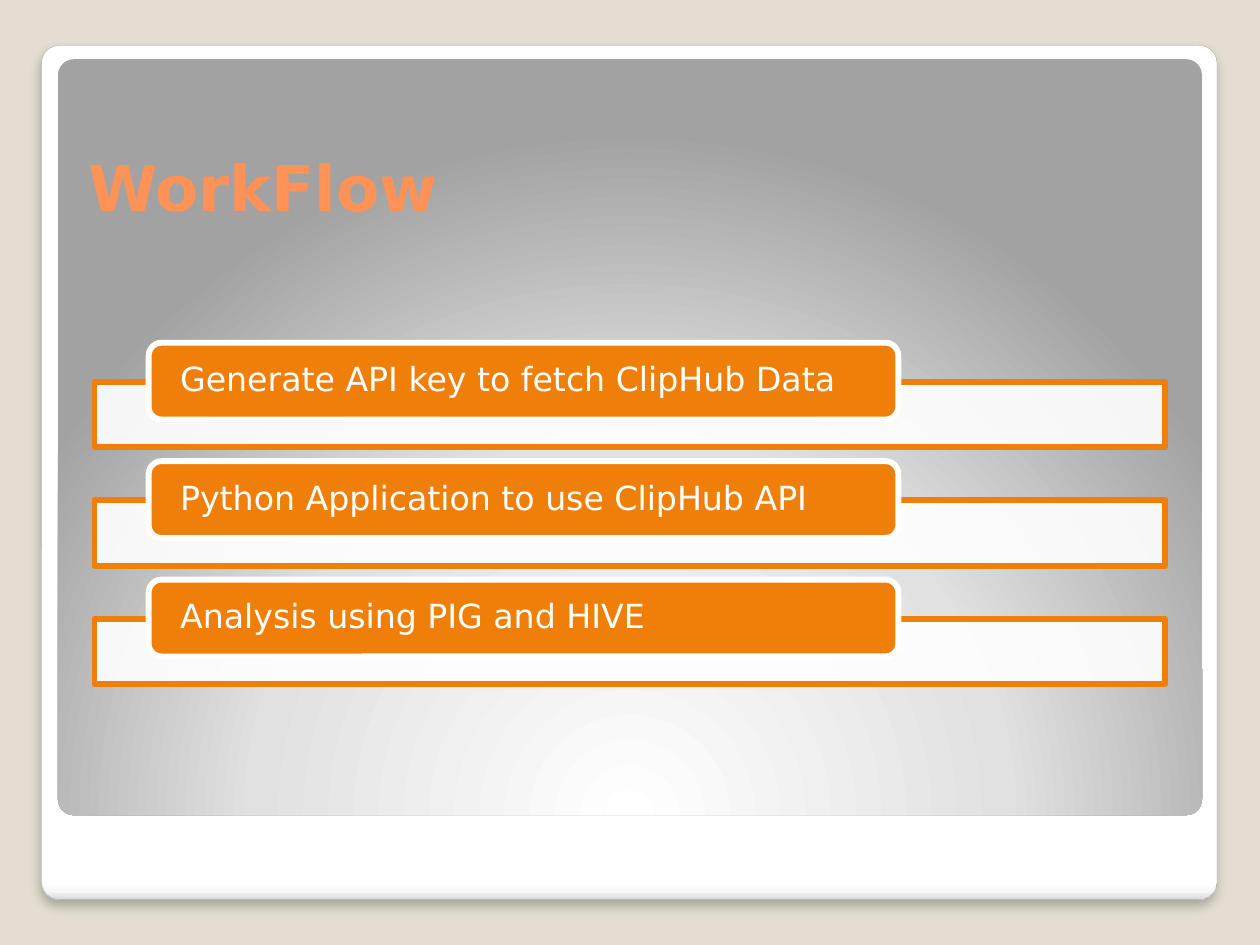
from lxml import etree
from pptx import Presentation
from pptx.dml.color import RGBColor
from pptx.enum.shapes import MSO_SHAPE
from pptx.enum.text import MSO_ANCHOR, PP_ALIGN
from pptx.oxml.ns import qn
from pptx.util import Inches, Pt

RECT, ROUND = MSO_SHAPE.RECTANGLE, MSO_SHAPE.ROUNDED_RECTANGLE
MIDDLE, LEFT = MSO_ANCHOR.MIDDLE, PP_ALIGN.LEFT

# Content
TITLE = "WorkFlow"
STEPS = [
    "Generate API key to fetch ClipHub Data",
    "Python Application to use ClipHub API",
    "Analysis using PIG and HIVE",
]

# Look
FONT = "DejaVu Sans"
COLORS = {
    "back": "E3DED1", "white": "FFFFFF", "edge": "A4A4A4",
    "orange": "F07F09", "title": "FF9257", "shade": "000000",
}
CARD_STOPS = [(0, "FFFFFF"), (98, "FFFFFF"), (99, "F7F7F7"), (100, "DADADA")]
PANEL_STOPS = [(0, "FFFFFF"), (55, "E1E1E1"), (100, "A2A2A2")]
FIRST, PITCH = 2.72, 0.94


def rgb(name):
    return RGBColor.from_string(COLORS[name])


def child(node, tag, **attrs):
    return etree.SubElement(node, qn(tag), {k: str(v) for k, v in attrs.items()})


def add_box(kind, left, top, width, height, fill=None, line=None, weight=3.35):
    box = slide.shapes.add_shape(
        kind, Inches(left), Inches(top), Inches(width), Inches(height))
    box.shadow.inherit = False
    if fill:
        box.fill.solid()
        box.fill.fore_color.rgb = rgb(fill)
    else:
        box.fill.background()
    if line:
        box.line.color.rgb = rgb(line)
        box.line.width = Pt(weight)
    else:
        box.line.fill.background()
    return box


def set_grad(box, stops):
    """Swap the empty fill for a gradient and return its node."""
    props = box._element.spPr
    grad = etree.Element(qn("a:gradFill"), rotWithShape="1")
    items = child(grad, "a:gsLst")
    for pos, color in stops:
        child(child(items, "a:gs", pos=pos * 1000), "a:srgbClr", val=color)
    props.replace(props.find(qn("a:noFill")), grad)
    return grad


def add_run(frame, text, size, color, bold=False):
    para = frame.paragraphs[0]
    para.alignment = LEFT
    run = para.add_run()
    run.text = text
    run.font.name, run.font.size, run.font.bold = FONT, Pt(size), bold
    run.font.color.rgb = rgb(color)
    return para


prs = Presentation()
prs.slide_width, prs.slide_height = Inches(10), Inches(7.5)
slide = prs.slides.add_slide(prs.slide_layouts[5])
slide.background.fill.solid()
slide.background.fill.fore_color.rgb = rgb("back")

# Card with a soft shadow
card = add_box(ROUND, 0.33, 0.36, 9.33, 6.78, line="edge", weight=0.16)
card.adjustments[0] = 0.021
child(set_grad(card, CARD_STOPS), "a:lin", ang=90 * 60000, scaled=0)
effects = card._element.spPr.find(qn("a:effectLst"))
shadow = child(effects, "a:outerShdw", blurRad=Pt(6), dist=Pt(4),
               dir=90 * 60000, algn="t", rotWithShape=0)
child(child(shadow, "a:srgbClr", val=COLORS["shade"]), "a:alpha", val=25000)

# Panel lit from below
panel = add_box(ROUND, 0.46, 0.47, 9.08, 6)
panel.adjustments[0] = 0.021
glow = child(set_grad(panel, PANEL_STOPS), "a:path", path="circle")
child(glow, "a:fillToRect", l=50000, t=175000, r=50000, b=-75000)

# Title, raised above the panel
title = slide.shapes.title
title.left, title.top = Inches(0.6), Inches(0.95)
title.width, title.height = Inches(8.2), Inches(1.05)
title.text_frame.vertical_anchor = MIDDLE
add_run(title.text_frame, TITLE, 36, "title", bold=True)
slide.shapes._spTree.append(title._element)

# Steps: a pale bar with a label over its top edge
for i, step in enumerate(STEPS):
    top = FIRST + i * PITCH
    bar = add_box(RECT, 0.75, top + 0.31, 8.5, 0.52, "white", "orange")
    tint = bar._element.spPr.find(qn("a:solidFill")).find(qn("a:srgbClr"))
    child(tint, "a:alpha", val=90000)

    label = add_box(ROUND, 1.18, top, 5.95, 0.61, "orange", "white")
    frame = label.text_frame
    frame.word_wrap = True
    frame.vertical_anchor = MIDDLE
    frame.margin_left = frame.margin_right = Inches(0.22)
    frame.margin_top = frame.margin_bottom = 0
    add_run(frame, step, 19, "white").line_spacing = 0.9

prs.save("out.pptx")
